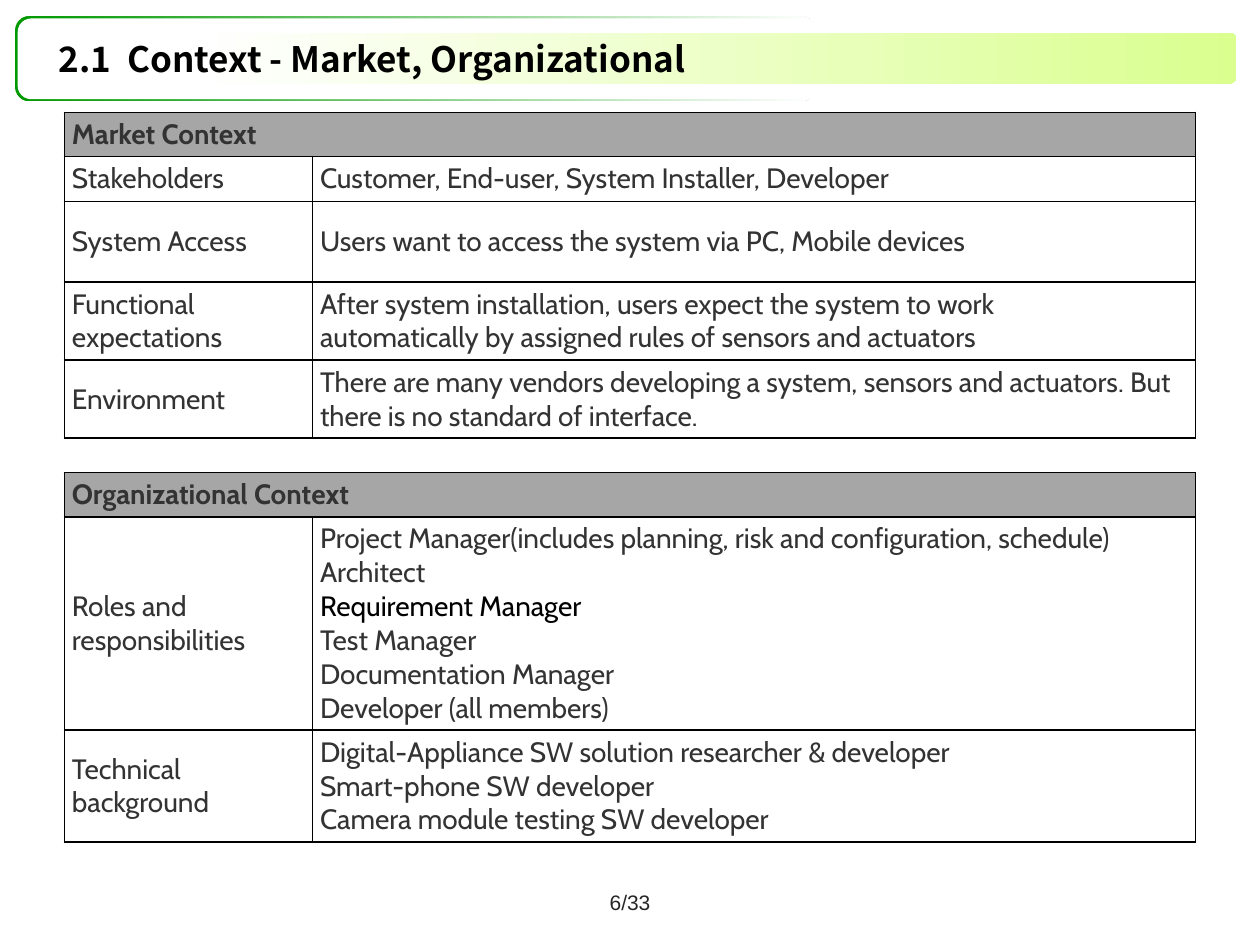
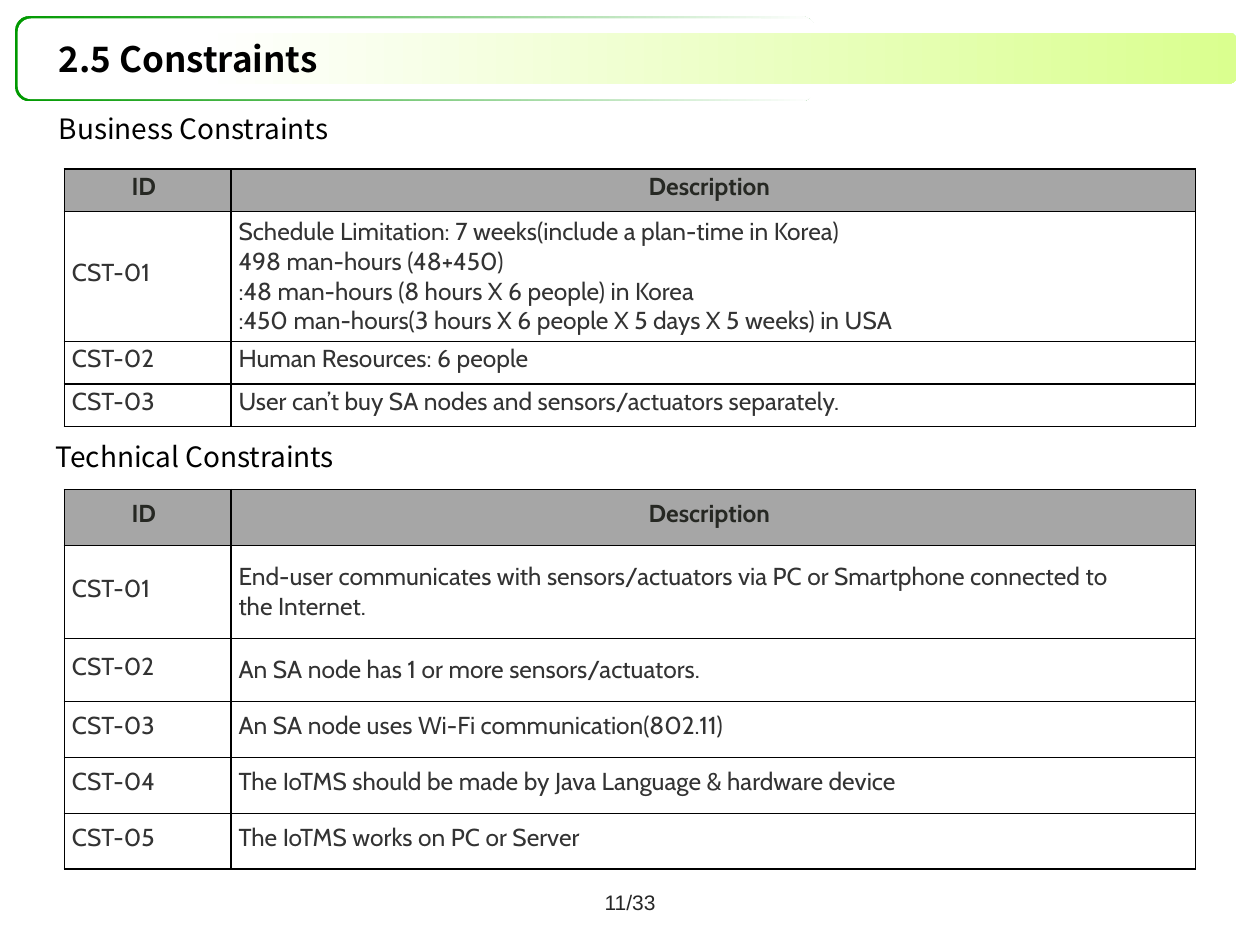
"""Build the context and constraints slides."""
from lxml import etree
from pptx import Presentation
from pptx.dml.color import RGBColor
from pptx.enum.shapes import MSO_SHAPE
from pptx.enum.text import MSO_ANCHOR, PP_ALIGN
from pptx.oxml.ns import qn
from pptx.util import Pt

ROUNDED = MSO_SHAPE.ROUNDED_RECTANGLE
TOP, MIDDLE = MSO_ANCHOR.TOP, MSO_ANCHOR.MIDDLE
LEFT, CENTER = PP_ALIGN.LEFT, PP_ALIGN.CENTER

BLACK = RGBColor(0x00, 0x00, 0x00)
WHITE = RGBColor(0xFF, 0xFF, 0xFF)
GREEN = RGBColor(0x00, 0x99, 0x00)
LIME = RGBColor(0xDA, 0xFF, 0x8F)
HEADER_GRAY = RGBColor(0xA6, 0xA6, 0xA6)
BODY_GRAY = RGBColor(0x33, 0x33, 0x33)
HEADER_INK = RGBColor(0x26, 0x28, 0x23)
FOOTER_INK = RGBColor(0x26, 0x26, 0x26)

HEADING_FONT = "Noto Sans CJK KR"
TABLE_FONT = "Cabin"
FOOTER_FONT = "Arial"

TABLE_LEFT = 36.8
CONTEXT_COLUMNS = (141.8, 504.7)
CONSTRAINT_COLUMNS = (95.2, 551.1)
TIGHT = 13

MARKET_ROWS = (
    ("Market Context",),
    ("Stakeholders", "Customer, End-user, System Installer, Developer"),
    ("System Access", "Users want to access the system via PC, Mobile devices"),
    (("Functional", "expectations"),
     ("After system installation, users expect the system to work",
      "automatically by assigned rules of sensors and actuators")),
    ("Environment",
     "There are many vendors developing a system, sensors and actuators. "
     "But there is no standard of interface."),
)
ORGANIZATION_ROWS = (
    ("Organizational Context",),
    (("Roles and", "responsibilities"),
     ("Project Manager(includes planning, risk and configuration, schedule)",
      "Architect", "Requirement Manager", "Test Manager",
      "Documentation Manager", "Developer (all members)")),
    (("Technical", "background"),
     ("Digital-Appliance SW solution researcher & developer",
      "Smart-phone SW developer", "Camera module testing SW developer")),
)
CONSTRAINT_HEADER = ("ID", "Description")
BUSINESS_ITEMS = (
    ("Schedule Limitation: 7 weeks(include a plan-time in Korea)",
     "498 man-hours (48+450)",
     ":48 man-hours (8 hours X 6 people) in Korea",
     ":450 man-hours(3 hours X 6 people X 5 days X 5 weeks) in USA"),
    "Human Resources: 6 people",
    "User can’t buy SA nodes and sensors/actuators separately.",
)
TECHNICAL_ITEMS = (
    ("End-user communicates with sensors/actuators via PC or Smartphone connected to",
     "the Internet."),
    ("An SA node has 1 or more sensors/actuators.",),
    "An SA node uses Wi-Fi communication(802.11)",
    "The IoTMS should be made by Java Language & hardware device",
    "The IoTMS works on PC or Server",
)


def write_text(frame, text, *, font, size, color, bold=False, align=LEFT, spacing=None):
    """Fill a text frame with one paragraph per line of text."""
    lines = (text,) if isinstance(text, str) else text
    for index, line in enumerate(lines):
        para = frame.add_paragraph() if index else frame.paragraphs[0]
        para.alignment = align
        if spacing:
            para.line_spacing = Pt(spacing)
        span = para.add_run()
        span.text = line
        span.font.name = font
        span.font.size = Pt(size)
        span.font.bold = bold
        span.font.color.rgb = color


def add_label(page, text, left, top, width, height, *, anchor=MIDDLE, **style):
    """Add a wrapping text box."""
    box = page.shapes.add_textbox(Pt(left), Pt(top), Pt(width), Pt(height))
    frame = box.text_frame
    frame.word_wrap = True
    frame.vertical_anchor = anchor
    write_text(frame, text, **style)


def add_band(page, left, top, width, height, rounding, colors):
    """Add a rounded band, shaded from left to right if it has two colours."""
    band = page.shapes.add_shape(ROUNDED, Pt(left), Pt(top), Pt(width), Pt(height))
    band.adjustments[0] = rounding
    band.shadow.inherit = False
    band.line.fill.background()
    if len(colors) == 1:
        band.fill.solid()
        band.fill.fore_color.rgb = colors[0]
        return
    band.fill.gradient()
    band.fill.gradient_angle = 0
    for stop, color in zip(band.fill.gradient_stops, colors):
        stop.color.rgb = color


def add_page(deck, title, number):
    """Add a page with the title bands, title and page number."""
    page = deck.slides.add_slide(deck.slide_layouts[6])
    add_band(page, 8.6, 9.2, 457.2, 48.6, 0.167, (GREEN, WHITE))
    add_band(page, 10.1, 10.6, 457.2, 46.1, 0.167, (WHITE,))
    add_band(page, 113.8, 18.8, 592.9, 29, 0.143, (WHITE, LIME))
    add_label(page, title, 26.4, 18, 597.6, 31,
              font=HEADING_FONT, size=20, color=BLACK, bold=True)
    add_label(page, f"{number}/33", 275.8, 501.1, 168.5, 28.8,
              font=FOOTER_FONT, size=12, color=FOOTER_INK, align=CENTER)
    return page


def add_subtitle(page, text, left, top):
    """Add a heading above a table."""
    add_label(page, text, left, top, 671.8, 33.8, anchor=TOP,
              font=HEADING_FONT, size=16, color=BLACK)


def style_cell(cell, fill, right_margin=4.32):
    """Give a cell its border, fill and margins."""
    properties = cell._tc.get_or_add_tcPr()
    for side in ("a:lnL", "a:lnR", "a:lnT", "a:lnB"):
        line = etree.SubElement(properties, qn(side), w=str(Pt(1)))
        paint = etree.SubElement(line, qn("a:solidFill"))
        etree.SubElement(paint, qn("a:srgbClr"), val=str(BLACK))
    cell.fill.solid()
    cell.fill.fore_color.rgb = fill
    cell.vertical_anchor = MIDDLE
    cell.margin_left, cell.margin_right = Pt(4.32), Pt(right_margin)
    cell.margin_top = cell.margin_bottom = Pt(2.88)


def add_grid(page, top, columns, heights):
    """Add an unstyled table of the given column widths and row heights."""
    frame = page.shapes.add_table(len(heights), len(columns), Pt(TABLE_LEFT), Pt(top),
                                  Pt(sum(columns)), Pt(sum(heights)))
    table = frame.table
    table.first_row = table.horz_banding = False
    for column, width in zip(table.columns, columns):
        column.width = Pt(width)
    for row, height in zip(table.rows, heights):
        row.height = Pt(height)
    return table


def add_context_table(page, top, heights, rows):
    """Add a table with a merged heading row."""
    table = add_grid(page, top, CONTEXT_COLUMNS, heights)
    for row, texts in enumerate(rows):
        for cell in table.rows[row].cells:
            style_cell(cell, WHITE if row else HEADER_GRAY)
        for column, text in enumerate(texts):
            write_text(table.cell(row, column).text_frame, text, font=TABLE_FONT,
                       size=16, color=BODY_GRAY, bold=row == 0)
    table.cell(0, 0).merge(table.cell(0, 1))
    return table


def add_constraint_table(page, top, heights, items):
    """Add a table of numbered constraints."""
    table = add_grid(page, top, CONSTRAINT_COLUMNS, heights)
    for cell, text in zip(table.rows[0].cells, CONSTRAINT_HEADER):
        style_cell(cell, HEADER_GRAY, right_margin=8.64)
        write_text(cell.text_frame, text, font=TABLE_FONT, size=14, color=HEADER_INK,
                   bold=True, align=CENTER, spacing=TIGHT)
    for row, item in enumerate(items, 1):
        for cell, text in zip(table.rows[row].cells, (f"CST-{row:02}", item)):
            style_cell(cell, WHITE)
            write_text(cell.text_frame, text, font=TABLE_FONT, size=14, color=BODY_GRAY,
                       spacing=TIGHT if isinstance(text, str) else None)


def build_context(deck):
    """Build the market and organizational context page."""
    page = add_page(deck, "2.1  Context - Market, Organizational", 6)
    add_context_table(page, 64.2, (25.2, 25.6, 46.2, 44.6, 44.6), MARKET_ROWS)
    organization = add_context_table(page, 270, (25.4, 121.8, 64), ORGANIZATION_ROWS)
    requirement_manager = organization.cell(1, 1).text_frame.paragraphs[2]
    requirement_manager.runs[0].font.color.rgb = BLACK


def build_constraints(deck):
    """Build the constraints page."""
    page = add_page(deck, "2.5 Constraints", 11)
    add_subtitle(page, "Business Constraints", 26.6, 60.5)
    add_constraint_table(page, 96.5, (24.3, 74.3, 24.3, 24.3), BUSINESS_ITEMS)
    add_subtitle(page, "Technical Constraints", 24.8, 247.7)
    add_constraint_table(page, 279.8, (32, 53, 36, 32, 32, 32), TECHNICAL_ITEMS)


def main():
    """Build and save the deck."""
    deck = Presentation()
    deck.slide_width, deck.slide_height = Pt(720), Pt(540)
    build_context(deck)
    build_constraints(deck)
    deck.save("out.pptx")


if __name__ == "__main__":
    main()
